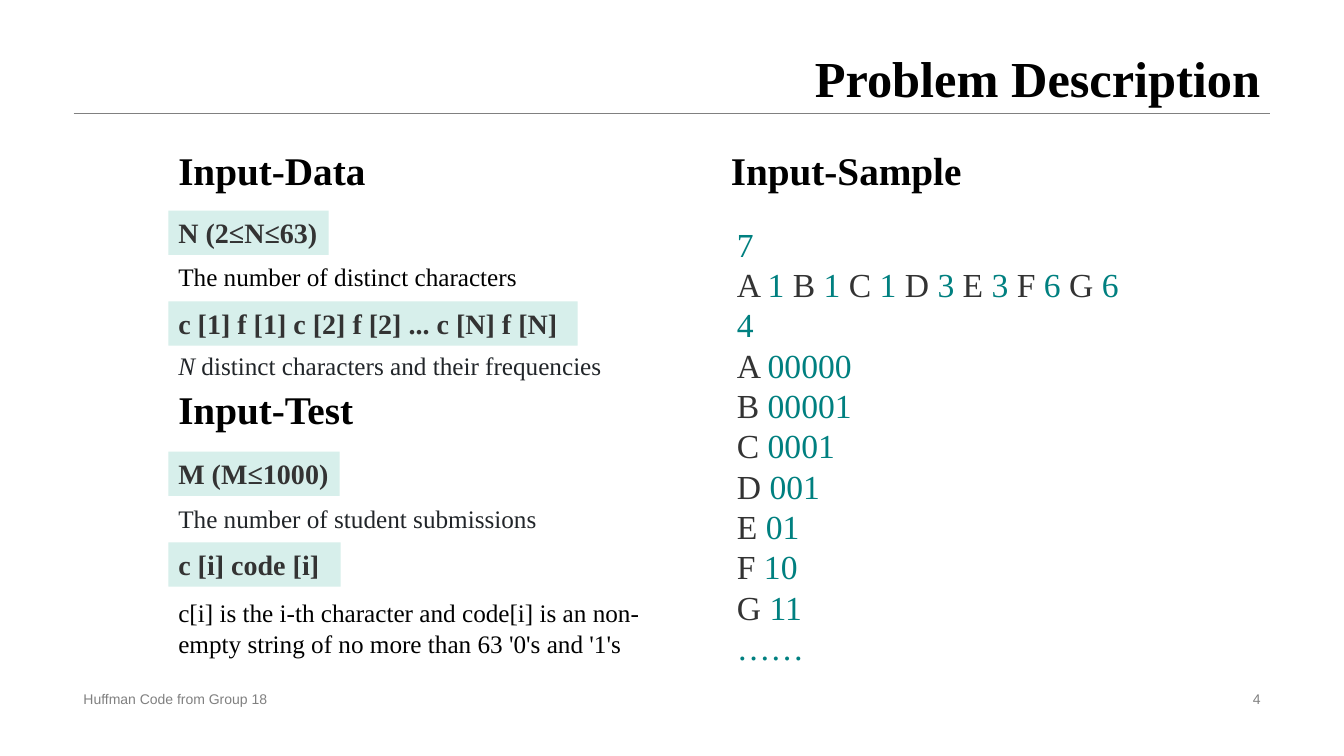
from dataclasses import dataclass
from itertools import groupby

from lxml.etree import SubElement
from pptx import Presentation
from pptx.dml.color import RGBColor
from pptx.enum.shapes import MSO_CONNECTOR, MSO_SHAPE
from pptx.enum.text import MSO_ANCHOR, PP_ALIGN
from pptx.oxml.ns import qn
from pptx.util import Pt


@dataclass(frozen=True)
class Theme:
    """Fonts, colours and type sizes of the deck."""
    serif: str = "Times New Roman"
    sans: str = "Arial"
    black: str = "000000"
    dark: str = "333333"
    body: str = "212529"
    gray: str = "808080"
    teal: str = "008080"
    mint: str = "D7EFEB"
    title: int = 36
    heading: int = 28
    sample: int = 24
    tag: int = 20
    note: int = 18
    footer: int = 10


T = Theme()
PX = 9144
SLIDE_W, SLIDE_H = 1333, 750


def px(*lengths):
    """Turn px lengths into EMU."""
    return [length * PX for length in lengths]


def style(r, size, color, bold=False, italic=False, font=T.serif):
    """Format one run."""
    r.font.name, r.font.size = font, Pt(size)
    r.font.bold, r.font.italic = bold, italic
    r.font.color.rgb = RGBColor.from_string(color)


def add_text(s, box, text, size, color, bold=False, font=T.serif,
             align=PP_ALIGN.LEFT, anchor=MSO_ANCHOR.TOP):
    """Place a wrapping text box and return its first paragraph."""
    tf = s.shapes.add_textbox(*px(*box)).text_frame
    tf.word_wrap, tf.vertical_anchor = True, anchor
    tf.text = text
    p = tf.paragraphs[0]
    p.alignment = align
    style(p.runs[0], size, color, bold, font=font)
    return p


def add_heading(s, x, y, text):
    """Place a section heading."""
    add_text(s, (x, y, 547, 57), text, T.heading, T.black, bold=True)


def add_tag(s, x, y, w, text):
    """Place a mint label holding an input format."""
    sp = s.shapes.add_shape(MSO_SHAPE.RECTANGLE, *px(x, y, w, 44))
    sp.shadow.inherit = False
    sp.fill.solid()
    sp.fill.fore_color.rgb = RGBColor.from_string(T.mint)
    sp.line.fill.background()
    tf = sp.text_frame
    tf.word_wrap, tf.vertical_anchor = True, MSO_ANCHOR.TOP
    tf.margin_right = 0
    tf.text = text
    p = tf.paragraphs[0]
    p.alignment = PP_ALIGN.LEFT
    style(p.runs[0], T.tag, T.dark, bold=True)


def add_header(s, x, y, w, h):
    """Place the title above its rule."""
    p = add_text(s, (x, y, w, h), "Problem Description", T.title, T.black,
                 bold=True, align=PP_ALIGN.RIGHT, anchor=MSO_ANCHOR.BOTTOM)
    p.line_spacing = 0.9
    rule = s.shapes.add_connector(MSO_CONNECTOR.STRAIGHT,
                                  *px(x, y + h, x + w, y + h))
    rule.line.color.rgb = RGBColor.from_string(T.gray)
    rule.line.width = Pt(0.25)
    SubElement(rule._element.spPr, qn("a:effectLst"))


def add_footer(s, x, y, w, h):
    """Place the deck name and the page number."""
    for left, width, text, align in (
            (x, 453, "Huffman Code from Group 18", PP_ALIGN.LEFT),
            (x + w - 318, 318, "4", PP_ALIGN.RIGHT)):
        add_text(s, (left, y, width, h), text, T.footer, T.gray,
                 font=T.sans, align=align, anchor=MSO_ANCHOR.MIDDLE)


def add_formats(s, x, y, w):
    """Place the input formats with their explanations."""
    for dy, text in ((0, "Input-Data"), (237, "Input-Test")):
        add_heading(s, x, y + dy, text)
    for dy, width, text in (
            (69, 159, "N (2≤N≤63)"),
            (159, 406, "c [1] f [1] c [2] f [2] ... c [N] f [N]"),
            (308, 170, "M (M≤1000)"),
            (398, 171, "c [i] code [i]")):
        add_tag(s, x, y + dy, width, text)
    for dy, h, color, text in (
            (114, 40, T.black, "The number of distinct characters"),
            (354, 40, T.body, "The number of student submissions"),
            (448, 71, T.black, "c[i] is the i-th character and code[i] is an "
             "non-empty string of no more than 63 '0's and '1's")):
        add_text(s, (x, y + dy, w, h), text, T.note, color)
    p = add_text(s, (x, y + 203, w, 40), "N", T.note, T.body)
    style(p.runs[0], T.note, T.body, italic=True)
    r = p.add_run()
    r.text = " distinct characters and their frequencies"
    style(r, T.note, T.body)


def add_sample(s, x, y):
    """Place the sample input, with values in teal."""
    add_heading(s, x, y, "Input-Sample")
    lines = ("7", "A 1 B 1 C 1 D 3 E 3 F 6 G 6", "4", "A 00000", "B 00001",
             "C 0001", "D 001", "E 01", "F 10", "G 11", "……")
    box = px(x + 6, y + 77, SLIDE_W - x - 6, 454)
    tf = s.shapes.add_textbox(*box).text_frame
    tf.word_wrap = True
    for i, line in enumerate(lines):
        p = tf.add_paragraph() if i else tf.paragraphs[0]
        for is_value, chars in groupby(line, lambda c: c.isdigit() or c == "…"):
            r = p.add_run()
            r.text = "".join(chars)
            style(r, T.sample, T.teal if is_value else T.dark)


def main():
    """Build and save the slide."""
    prs = Presentation()
    prs.slide_width, prs.slide_height = px(SLIDE_W, SLIDE_H)
    s = prs.slides.add_slide(prs.slide_layouts[6])
    add_header(s, 73, 0, 1187, 112)
    add_footer(s, 73, 682, 1187, 23)
    add_formats(s, 167, 140, 488)
    add_sample(s, 715, 140)
    prs.save("out.pptx")


if __name__ == "__main__":
    main()
